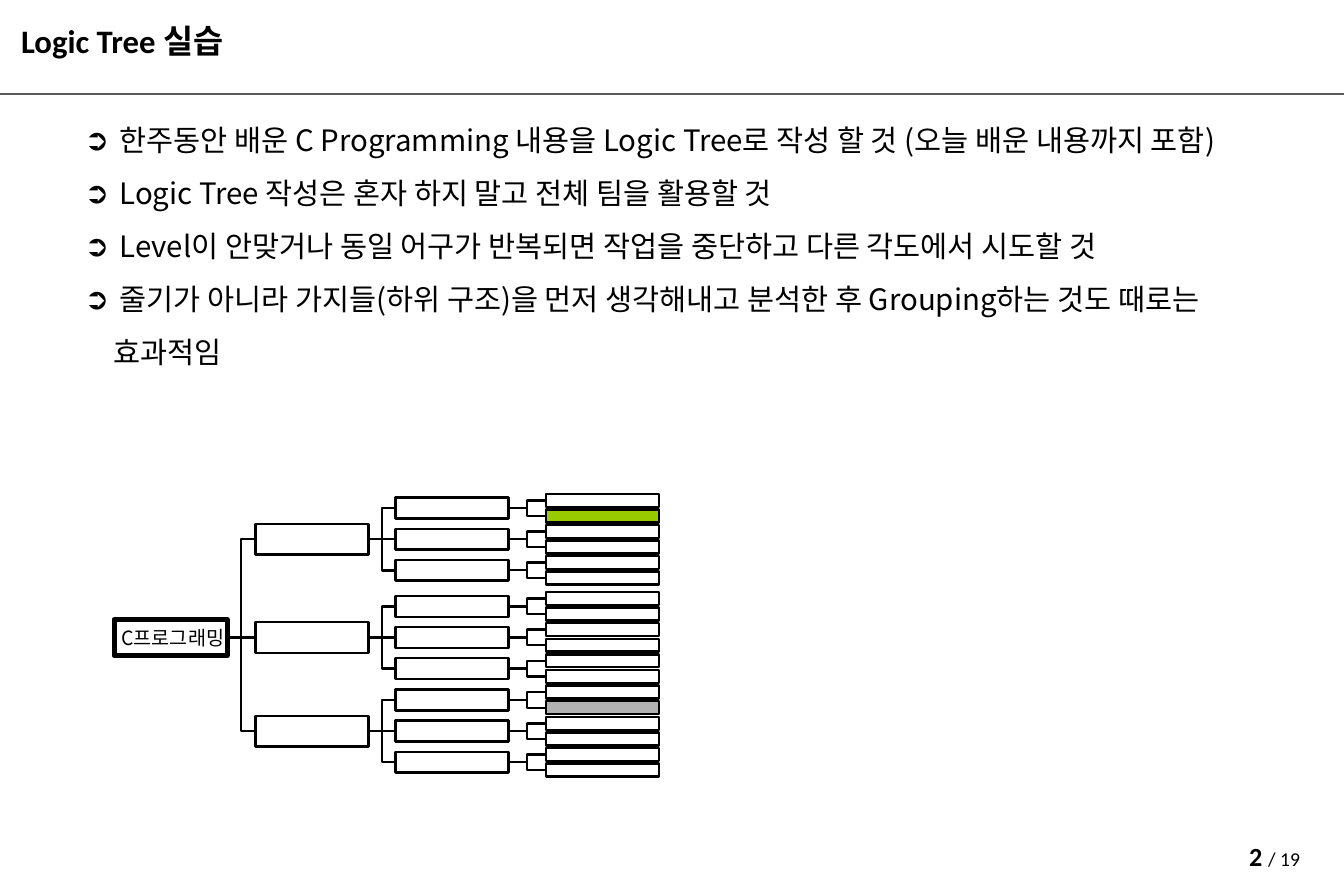
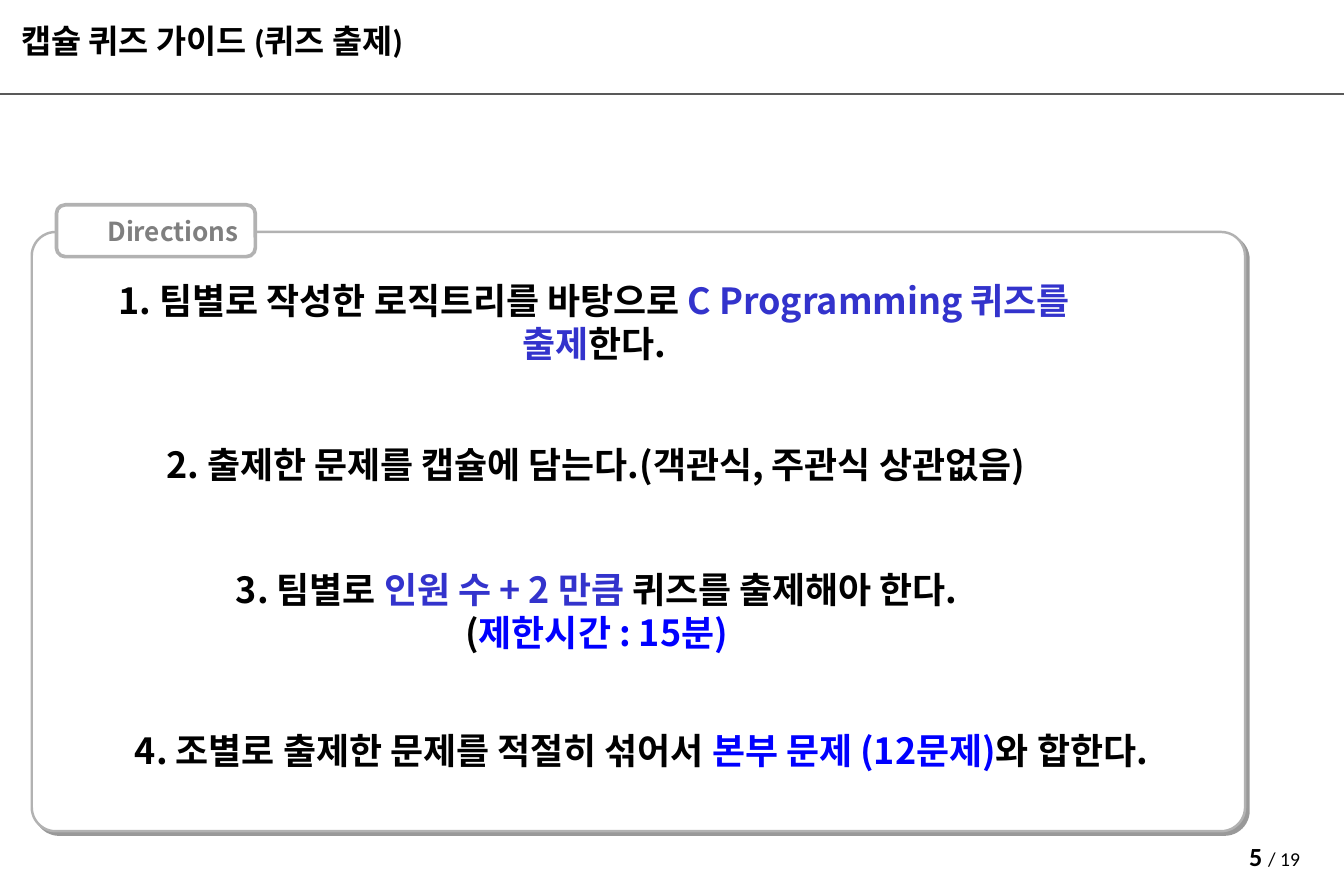
from lxml import etree
from pptx import Presentation
from pptx.dml.color import RGBColor
from pptx.enum.shapes import MSO_CONNECTOR, MSO_SHAPE
from pptx.enum.text import MSO_ANCHOR, MSO_AUTO_SIZE, PP_ALIGN
from pptx.oxml.ns import qn
from pptx.util import Inches, Pt

RECTANGLE, ROUNDED = MSO_SHAPE.RECTANGLE, MSO_SHAPE.ROUNDED_RECTANGLE
STRAIGHT, ELBOW = MSO_CONNECTOR.STRAIGHT, MSO_CONNECTOR.ELBOW
LEFT, CENTER = PP_ALIGN.LEFT, PP_ALIGN.CENTER
TOP, MIDDLE, BOTTOM = MSO_ANCHOR.TOP, MSO_ANCHOR.MIDDLE, MSO_ANCHOR.BOTTOM
NO_AUTOFIT = MSO_AUTO_SIZE.NONE
TITLE_AND_CONTENT, TITLE_ONLY = 1, 5
LEFT_SITE, RIGHT_SITE = 1, 3

SLIDE_WIDTH, SLIDE_HEIGHT = Inches(11.42), Inches(7.5)
TITLE_FONT, BODY_FONT = "Calibri", "Noto Sans CJK KR"
BLACK, WHITE, RULE_GRAY = "000000", "FFFFFF", "595959"
BORDER_GRAY, LABEL_GRAY = "B2B2B2", "7F7F7F"
INDIGO, BLUE, GREEN = "3333CC", "0000FF", "99CC00"
PAGE_COUNT = 19

NODE_WIDTH = 8.41
ROOT_LEFT, BRANCH_LEFT, TWIG_LEFT, LEAF_LEFT = 8.49, 19, 29.42, 40.63
ROOT_HEIGHT, BRANCH_HEIGHT, TWIG_HEIGHT, LEAF_HEIGHT = 4.13, 3.47, 2.35, 1.47
BRANCH_CENTERS = [61.07, 72.2, 82.8]
TWIG_PITCH = 3.52
LEAF_FILLS = {1: GREEN, 13: BORDER_GRAY}

TREE_RULES = [
    " 한주동안 배운 C Programming 내용을 Logic Tree로 작성 할 것 (오늘 배운 내용까지 포함)",
    " Logic Tree 작성은 혼자 하지 말고 전체 팀을 활용할 것",
    " Level이 안맞거나 동일 어구가 반복되면 작업을 중단하고 다른 각도에서 시도할 것",
    " 줄기가 아니라 가지들(하위 구조)을 먼저 생각해내고 분석한 후 Grouping하는 것도 때로는 효과적임",
]
DIRECTIONS = [
    (3.06, 32.93, [[("1. 팀별로 작성한 로직트리를 바탕으로 ", BLACK),
                    ("C Programming 퀴즈를 출제", INDIGO), ("한다.", BLACK)]]),
    (3.15, 49.07, [[("2. 출제한 문제를 캡슐에 담는다.(객관식, 주관식 상관없음)", BLACK)]]),
    (3.24, 65.6, [[("3. 팀별로 ", BLACK), ("인원 수 + 2 만큼 ", INDIGO),
                   ("퀴즈를 출제해아 한다.", BLACK)],
                  [("(", BLACK), ("제한시간 : 15분)", BLUE)]]),
    (6.57, 81.47, [[("4. 조별로 출제한 문제를 적절히 섞어서 ", BLACK),
                    ("본부 문제 (12문제)", BLUE), ("와 합한다.", BLACK)]]),
]


def color(value):
    return RGBColor.from_string(value)


def across(percent):
    return round(SLIDE_WIDTH * percent / 100)


def down(percent):
    return round(SLIDE_HEIGHT * percent / 100)


def area(left, top, width, height):
    return across(left), down(top), across(width), down(height)


def format_paragraph(paragraph, size, name=BODY_FONT, bold=False, ink=BLACK, alignment=CENTER):
    paragraph.alignment = alignment
    font = paragraph.font
    font.size, font.name, font.bold = Pt(size), name, bold
    font.color.rgb = color(ink)
    defaults = paragraph._p.get_or_add_pPr().find(qn("a:defRPr"))
    etree.SubElement(defaults, qn("a:ea"), typeface=BODY_FONT)


def set_indent(paragraph, margin, first_line):
    properties = paragraph._p.get_or_add_pPr()
    properties.set("marL", str(Inches(margin)))
    properties.set("indent", str(Inches(first_line)))


def set_bullet(paragraph, character):
    properties = paragraph._p.get_or_add_pPr()
    bullet = etree.Element(qn("a:buChar"), char=character)
    properties.find(qn("a:defRPr")).addprevious(bullet)


def set_frame(shape, anchor, wrap=True, vertical_margin=0.05):
    frame = shape.text_frame
    frame.word_wrap, frame.vertical_anchor = wrap, anchor
    frame.auto_size = NO_AUTOFIT
    frame.margin_left = frame.margin_right = Inches(0.1)
    frame.margin_top = frame.margin_bottom = Inches(vertical_margin)
    return frame


def place_placeholder(shape, bounds):
    shape.left, shape.top, shape.width, shape.height = bounds


def add_text(slide, bounds, paragraphs, size, bold=False, anchor=MIDDLE, name=BODY_FONT):
    frame = set_frame(slide.shapes.add_textbox(*bounds), anchor)
    for index, runs in enumerate(paragraphs):
        paragraph = frame.add_paragraph() if index else frame.paragraphs[0]
        format_paragraph(paragraph, size, name, bold)
        for text, ink in runs:
            run = paragraph.add_run()
            run.text = text
            if ink != BLACK:
                run.font.color.rgb = color(ink)
    return frame


def add_box(shapes, kind, bounds, line, line_width, fill=None):
    shape = shapes.add_shape(kind, *bounds)
    shape.shadow.inherit = False
    if fill:
        shape.fill.solid()
        shape.fill.fore_color.rgb = color(fill)
    else:
        shape.fill.background()
    shape.line.color.rgb = color(line)
    shape.line.width = Pt(line_width)
    return shape


def add_line(shapes, kind, ends, ink=BLACK):
    connector = shapes.add_connector(kind, *ends)
    connector.line.color.rgb = color(ink)
    connector.line.width = Pt(1.5)
    etree.SubElement(connector._element.spPr, qn("a:effectLst"))
    return connector


def add_node(shapes, left, center, height, parent=None, fill=None, line_width=1.5):
    bounds = area(left, center - height / 2, NODE_WIDTH, height)
    node = add_box(shapes, RECTANGLE, bounds, BLACK, line_width, fill)
    if parent is not None:
        start_y = parent.top + parent.height // 2
        end_y = node.top + node.height // 2
        level = abs(start_y - end_y) < down(0.1)
        ends = (parent.left + parent.width, start_y, node.left, end_y)
        connector = add_line(shapes, STRAIGHT if level else ELBOW, ends)
        connector.begin_connect(parent, RIGHT_SITE)
        connector.end_connect(node, LEFT_SITE)
    return node


def add_tree(slide):
    shapes = slide.shapes.add_group_shape().shapes
    root = add_node(shapes, ROOT_LEFT, BRANCH_CENTERS[1], ROOT_HEIGHT, line_width=3)
    paragraph = set_frame(root, MIDDLE, wrap=False).paragraphs[0]
    paragraph.text = " C프로그래밍"
    format_paragraph(paragraph, 12)
    leaf_number = 0
    for branch_center in BRANCH_CENTERS:
        branch = add_node(shapes, BRANCH_LEFT, branch_center, BRANCH_HEIGHT, root)
        for step in (-1, 0, 1):
            twig_center = branch_center + step * TWIG_PITCH
            twig = add_node(shapes, TWIG_LEFT, twig_center, TWIG_HEIGHT, branch)
            for side in (-1, 1):
                leaf_center = twig_center + side * TWIG_PITCH / 4
                add_node(shapes, LEAF_LEFT, leaf_center, LEAF_HEIGHT, twig,
                         LEAF_FILLS.get(leaf_number))
                leaf_number += 1


def add_rules(slide):
    body = slide.placeholders[1]
    place_placeholder(body, area(5.43, 11.2, 89.4, 79.73))
    frame = set_frame(body, TOP)
    for index, text in enumerate(TREE_RULES):
        paragraph = frame.add_paragraph() if index else frame.paragraphs[0]
        paragraph.text = text
        paragraph.line_spacing = 1.5
        paragraph.space_before = Pt(0)
        format_paragraph(paragraph, 18, alignment=LEFT)
        set_indent(paragraph, 0.24, -0.24)
        set_bullet(paragraph, "➲")


def add_panel(slide):
    panel = add_box(slide.shapes, ROUNDED, area(2.36, 26.27, 90.28, 67.87),
                    BORDER_GRAY, 1.5, WHITE)
    panel.adjustments[0] = 0.04
    effects = panel._element.spPr.find(qn("a:effectLst"))
    shadow = etree.SubElement(effects, qn("a:outerShdw"), blurRad="0", dist=str(Pt(3)),
                              dir=str(45 * 60000), algn="tl", rotWithShape="0")
    shade = etree.SubElement(shadow, qn("a:srgbClr"), val=BLACK)
    etree.SubElement(shade, qn("a:alpha"), val="40000")


def add_panel_label(slide, text):
    label = add_box(slide.shapes, ROUNDED, area(4.2, 23.2, 14.8, 5.87),
                    BORDER_GRAY, 2.25, WHITE)
    label.adjustments[0] = 0.17
    paragraph = set_frame(label, MIDDLE, wrap=False).paragraphs[0]
    paragraph.text = text
    format_paragraph(paragraph, 16, bold=True, ink=LABEL_GRAY)
    set_indent(paragraph, 0.39, -0.1)


def add_slide(presentation, layout, title, page):
    slide = presentation.slides.add_slide(presentation.slide_layouts[layout])
    heading = slide.shapes.title
    place_placeholder(heading, area(0.7, 1.2, 44.75, 5.87))
    paragraph = set_frame(heading, BOTTOM, vertical_margin=0.02).paragraphs[0]
    paragraph.text = title
    format_paragraph(paragraph, 20, TITLE_FONT, True, alignment=LEFT)
    add_line(slide.shapes, STRAIGHT, (0, down(10.67), SLIDE_WIDTH, down(10.67)), RULE_GRAY)
    runs = [(f"{page} ", BLACK), (f"/ {PAGE_COUNT}", BLACK)]
    frame = add_text(slide, area(89.67, 94.53, 10.33, 3.2), [runs], 16, True, TOP, TITLE_FONT)
    total = frame.paragraphs[0].runs[1].font
    total.size, total.bold = Pt(12), False
    return slide


def main():
    presentation = Presentation()
    presentation.slide_width, presentation.slide_height = SLIDE_WIDTH, SLIDE_HEIGHT

    practice = add_slide(presentation, TITLE_AND_CONTENT, "Logic Tree 실습", 2)
    add_rules(practice)
    add_tree(practice)

    guide = add_slide(presentation, TITLE_ONLY, "캡슐 퀴즈 가이드 (퀴즈 출제)", 5)
    add_panel(guide)
    add_panel_label(guide, "Directions")
    for left, top, paragraphs in DIRECTIONS:
        add_text(guide, area(left, top, 82.31, 7.07), paragraphs, 22, True)

    presentation.save("out.pptx")


if __name__ == "__main__":
    main()
